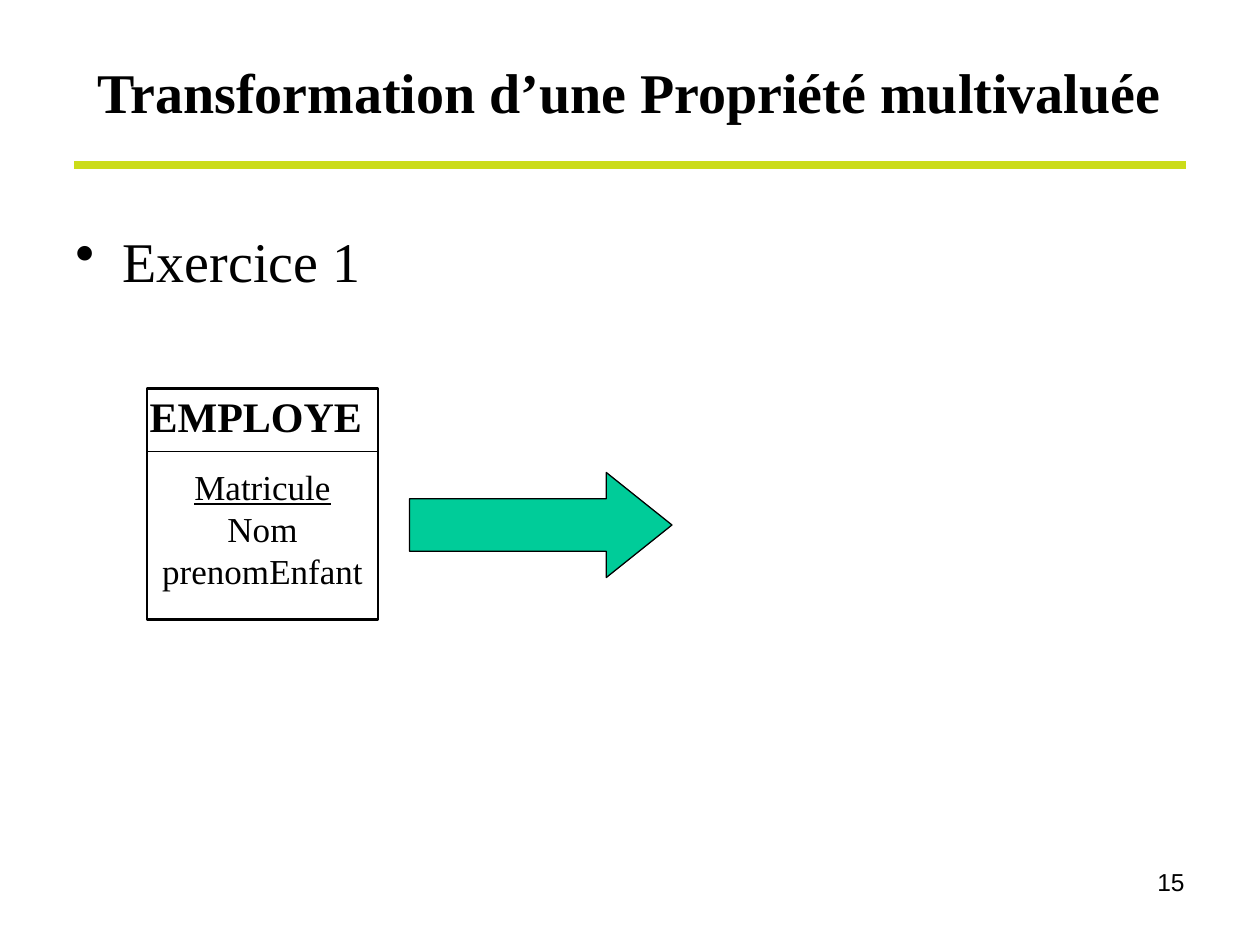
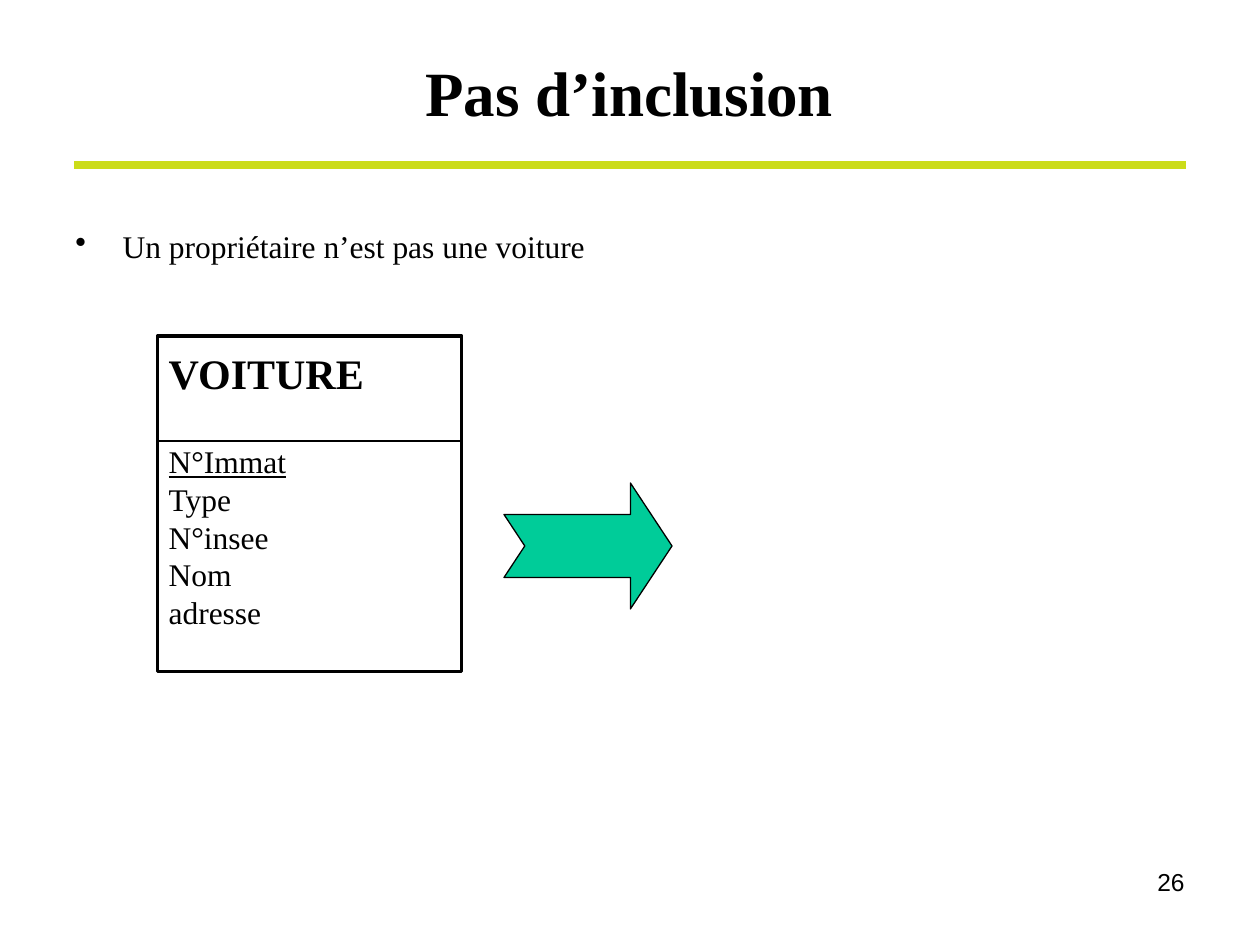
import pptx
import pptx.util
import pptx.dml.color
import pptx.enum.shapes
import pptx.enum.text
import pptx.oxml.ns
from lxml import etree

Pt = pptx.util.Pt
ALIGN = pptx.enum.text.PP_ALIGN
ANCHOR = pptx.enum.text.MSO_ANCHOR
SHAPE = pptx.enum.shapes.MSO_SHAPE

BLACK = pptx.dml.color.RGBColor(0x00, 0x00, 0x00)
WHITE = pptx.dml.color.RGBColor(0xFF, 0xFF, 0xFF)
LIME = pptx.dml.color.RGBColor(0xCB, 0xDC, 0x1A)
GREEN = pptx.dml.color.RGBColor(0x00, 0xCC, 0x99)
SERIF, SANS = "Times New Roman", "Arial"

SLIDE_SIZE = (720, 540)
TITLE_BOX = (36, 21.6, 647.3, 61.2)
BODY_BOX = (36, 126, 648, 356.4)
NUMBER_BOX = (516.2, 491.8, 167.8, 37.4)
RULE_LEFT, RULE_RIGHT, RULE_Y = 42.5, 677.5, 94.3
BULLET_INDENT = 27


def write_lines(frame, lines, size, font=SERIF, bold=False, align=ALIGN.LEFT,
                underline_first=False):
    """Write one paragraph per line and return the paragraphs."""
    paragraphs = []
    for i, line in enumerate(lines):
        paragraph = frame.add_paragraph() if i else frame.paragraphs[0]
        paragraph.alignment = align
        run = paragraph.add_run()
        run.text = line
        run.font.name = font
        run.font.size = Pt(size)
        run.font.bold = bold
        run.font.underline = underline_first and i == 0
        run.font.color.rgb = BLACK
        paragraphs.append(paragraph)
    return paragraphs


def add_label(slide, box, lines, size, wrap=True, anchor=ANCHOR.TOP, **style):
    frame = slide.shapes.add_textbox(*map(Pt, box)).text_frame
    frame.word_wrap = wrap
    frame.vertical_anchor = anchor
    return write_lines(frame, lines, size, **style)


def add_line(slide, start, end, color, width):
    line = slide.shapes.add_connector(
        pptx.enum.shapes.MSO_CONNECTOR.STRAIGHT, *map(Pt, start + end))
    line.line.color.rgb = color
    line.line.width = Pt(width)
    etree.SubElement(line._element.spPr, pptx.oxml.ns.qn("a:effectLst"))


def add_solid(slide, preset, box, fill, line_width):
    solid = slide.shapes.add_shape(preset, *map(Pt, box))
    solid.shadow.inherit = False
    solid.fill.solid()
    solid.fill.fore_color.rgb = fill
    solid.line.color.rgb = BLACK
    solid.line.width = Pt(line_width)
    return solid


def add_arrow(slide, preset, box, head):
    arrow = add_solid(slide, preset, box, GREEN, 0.75)
    arrow.adjustments[0] = 0.5
    arrow.adjustments[1] = head


def add_bullet(slide, text, size):
    bullet = add_label(slide, BODY_BOX, [text], size)[0]
    bullet.space_before = Pt(size / 4)
    properties = bullet._p.get_or_add_pPr()
    properties.set("marL", str(Pt(BULLET_INDENT)))
    properties.set("indent", str(-Pt(BULLET_INDENT)))
    etree.SubElement(properties, pptx.oxml.ns.qn("a:buChar")).set("char", "•")


def add_entity(slide, box, header_height, line_width, name, name_offset, name_width,
               name_wrap):
    """Draw an entity's frame, divider and name; return the frame."""
    left, top, width, _ = box
    frame = add_solid(slide, SHAPE.RECTANGLE, box, WHITE, line_width)
    divider = top + header_height
    add_line(slide, (left, divider), (left + width, divider), BLACK, 0.75)
    dx, dy = name_offset
    add_label(slide, (left + dx, top + dy, name_width, 36), [name], 24,
              wrap=name_wrap, bold=True)
    return frame


def start_slide(deck, title, title_size, number):
    """Add a slide with the shared rule, number and title."""
    slide = deck.slides.add_slide(deck.slide_layouts[6])
    add_line(slide, (RULE_LEFT, RULE_Y), (RULE_RIGHT, RULE_Y), LIME, 4.5)
    add_label(slide, NUMBER_BOX, [number], 14, font=SANS, align=ALIGN.RIGHT)
    add_label(slide, TITLE_BOX, [title], title_size, anchor=ANCHOR.MIDDLE,
              bold=True, align=ALIGN.CENTER)
    return slide


def build_multivalued(deck):
    slide = start_slide(deck, "Transformation d’une Propriété multivaluée", 32, "15")
    add_bullet(slide, "Exercice 1", 32)
    # Entity with centred attributes below the header
    employe = add_entity(slide, (84, 222, 132, 132), 36, 1.5, "EMPLOYE",
                         (-5.5, -2.4), 136, True)
    attributes = employe.text_frame
    attributes.word_wrap = False
    attributes.vertical_anchor = ANCHOR.MIDDLE
    attributes.margin_top = Pt(31.2)
    write_lines(attributes, ["Matricule", "Nom", "prenomEnfant"], 20,
                align=ALIGN.CENTER, underline_first=True)
    add_arrow(slide, SHAPE.RIGHT_ARROW, (234, 270, 150, 60), 0.625)


def build_no_inclusion(deck):
    slide = start_slide(deck, "Pas d’inclusion", 36, "26")
    add_bullet(slide, "Un propriétaire n’est pas une voiture", 18)
    # Entity with left-aligned attributes
    left, top, header = 90, 192, 60
    add_entity(slide, (left, top, 174, 192), header, 1.75, "VOITURE",
               (-0.7, 3.1), 126, False)
    add_label(slide, (left - 0.7, top + header - 2.9, 81.4, 115.2),
              ["N°Immat", "Type", "N°insee", "Nom", "adresse"], 18,
              wrap=False, underline_first=True)
    add_arrow(slide, SHAPE.NOTCHED_RIGHT_ARROW, (288, 276, 96, 72), 0.33)


def main():
    deck = pptx.Presentation()
    deck.slide_width, deck.slide_height = map(Pt, SLIDE_SIZE)
    build_multivalued(deck)
    build_no_inclusion(deck)
    deck.save("out.pptx")


if __name__ == "__main__":
    main()
